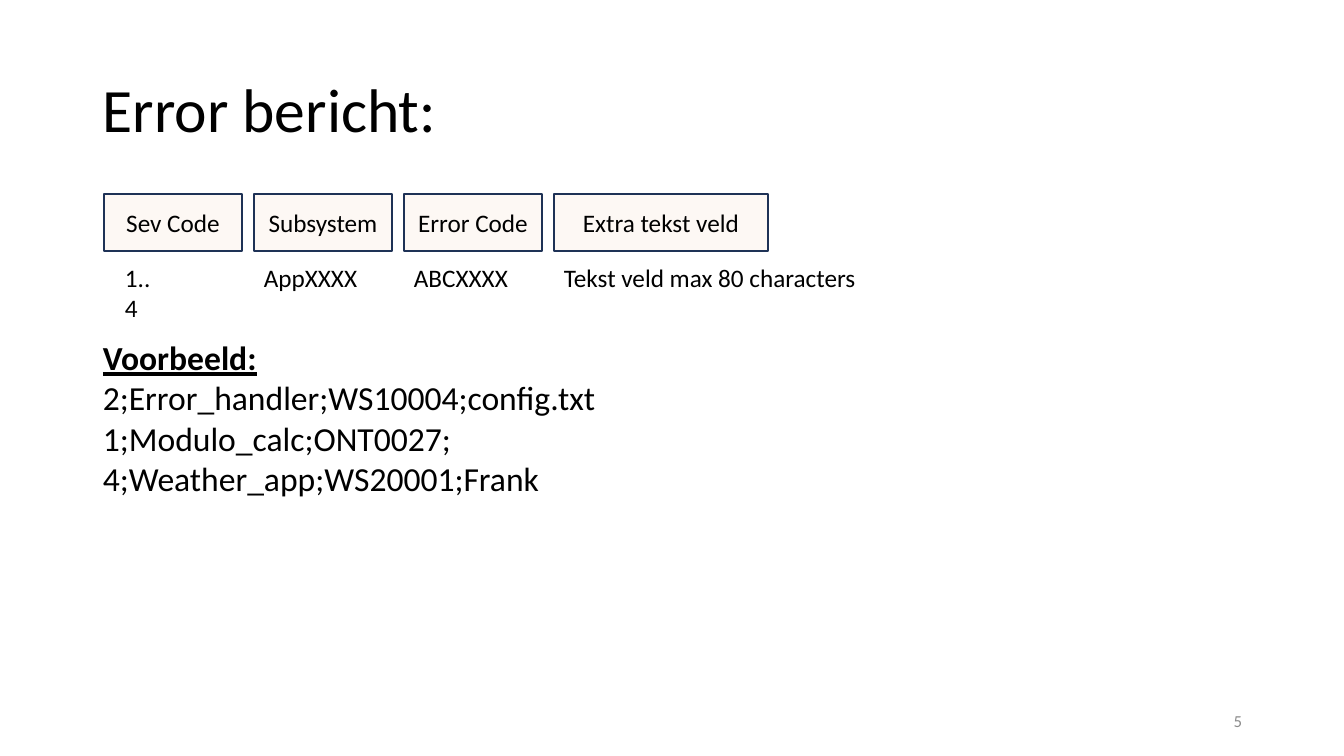
from lxml import etree
from pptx import Presentation
from pptx.dml.color import RGBColor
from pptx.enum.shapes import MSO_SHAPE
from pptx.enum.text import MSO_ANCHOR, PP_ALIGN
from pptx.oxml.ns import qn
from pptx.util import Pt

RECTANGLE = MSO_SHAPE.RECTANGLE
TOP, MIDDLE = MSO_ANCHOR.TOP, MSO_ANCHOR.MIDDLE
LEFT, CENTER, RIGHT = PP_ALIGN.LEFT, PP_ALIGN.CENTER, PP_ALIGN.RIGHT

BLACK = RGBColor(0x00, 0x00, 0x00)
GREY = RGBColor(0x8C, 0x8C, 0x8C)
PEACH = RGBColor(0xFB, 0xE5, 0xD6)
NAVY = RGBColor(0x1E, 0x32, 0x56)

TITLE = "Error bericht:"
PAGE_NUMBER = "5"
EXAMPLE_HEADING = "Voorbeeld:"
EXAMPLES = [
    "2;Error_handler;WS10004;config.txt",
    "1;Modulo_calc;ONT0027;",
    "4;Weather_app;WS20001;Frank",
]
# name, box width, format, format indent, format width
FIELDS = [
    ("Sev Code", 138, "1..4", 11, 58),
    ("Subsystem", 138, "AppXXXX", 0, 115),
    ("Error Code", 138, "ABCXXXX", 0, 116),
    ("Extra tekst veld", 214, "Tekst veld max 80 characters", 0, 316),
]
FIELD_LEFT, FIELD_TOP, FIELD_HEIGHT, FIELD_GAP = 104, 194, 57, 12
FORMAT_TOP, FORMAT_HEIGHT = 257, 40
SCALE = 914400 / 100.8


def px(*lengths):
    return [round(length * SCALE) for length in lengths]


def write(shape, lines, size, color=BLACK, align=LEFT, anchor=TOP, wrap=True):
    frame = shape.text_frame
    frame.word_wrap = wrap
    frame.vertical_anchor = anchor
    frame.text = "\n".join(lines)
    for para in frame.paragraphs:
        para.alignment = align
        para.font.name = "Calibri"
        para.font.size = Pt(size)
        para.font.color.rgb = color
    return frame.paragraphs


def add_field(shapes, left, width, name):
    box = shapes.add_shape(RECTANGLE, *px(left, FIELD_TOP, width, FIELD_HEIGHT))
    box.shadow.inherit = False
    box.fill.solid()
    box.fill.fore_color.rgb = PEACH
    color = box.fill._xPr.find(qn("a:solidFill"))[0]
    etree.SubElement(color, qn("a:alpha"), val="25000")
    box.line.color.rgb = NAVY
    box.line.width = Pt(1)
    write(box, [name], 18, align=CENTER, anchor=MIDDLE)


deck = Presentation()
deck.slide_width, deck.slide_height = px(1344, 756)
page = deck.slides.add_slide(deck.slide_layouts[6])

title = page.shapes.add_textbox(*px(93, 40, 1159, 146))
write(title, [TITLE], 44, anchor=MIDDLE)[0].line_spacing = 0.9

number = page.shapes.add_textbox(*px(950, 701, 302, 40))
write(number, [PAGE_NUMBER], 12, GREY, RIGHT, MIDDLE)

example = page.shapes.add_textbox(*px(93, 332, 517, 173))
heading = write(example, [EXAMPLE_HEADING, *EXAMPLES], 24, wrap=False)[0]
heading.font.bold = True
heading.font.underline = True

message = page.shapes.add_group_shape().shapes
left = FIELD_LEFT
for name, width, layout, indent, layout_width in FIELDS:
    add_field(message, left, width, name)
    note = message.add_textbox(
        *px(left + indent, FORMAT_TOP, layout_width, FORMAT_HEIGHT))
    write(note, [layout], 18, wrap=False)
    left += width + FIELD_GAP

deck.save("out.pptx")
